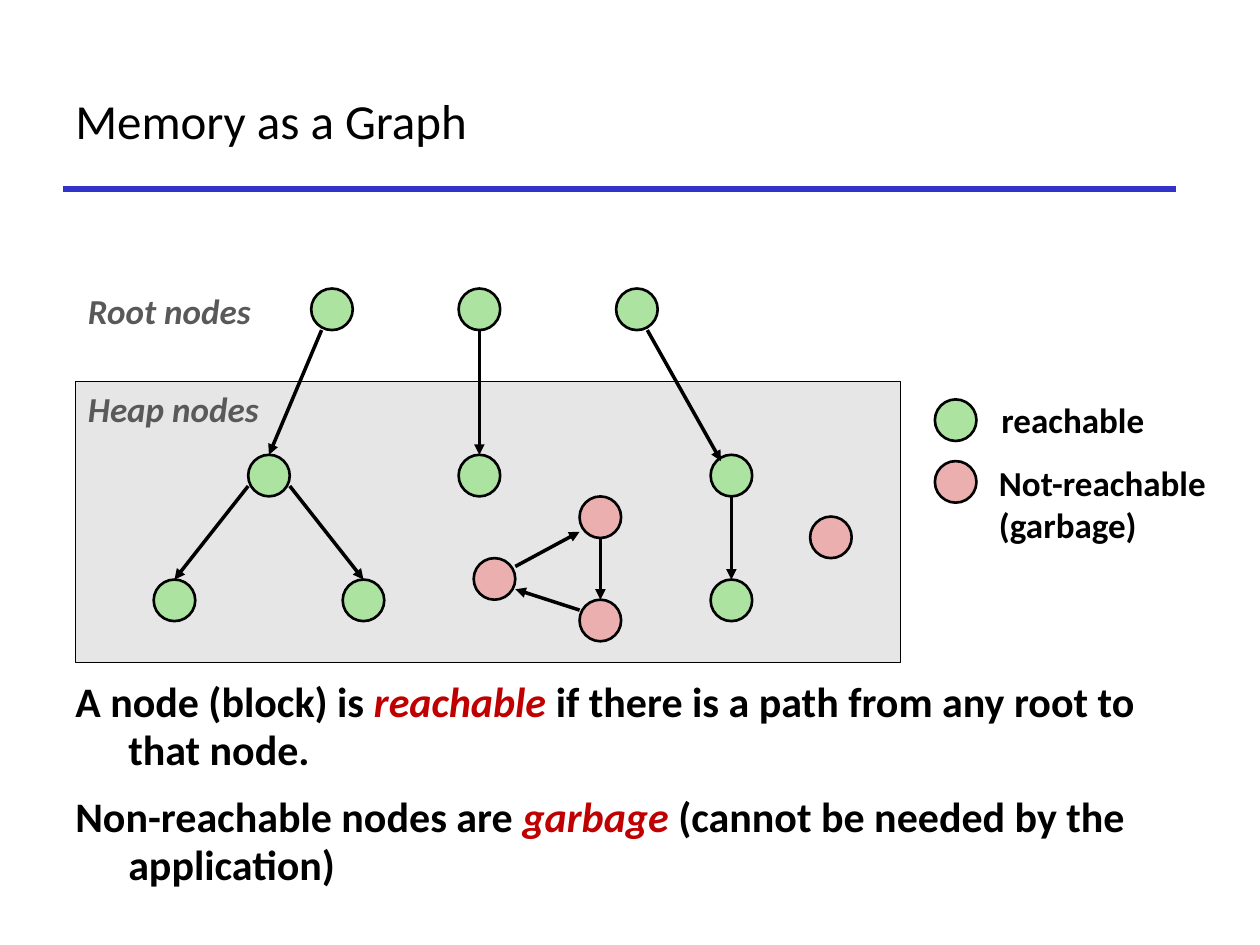
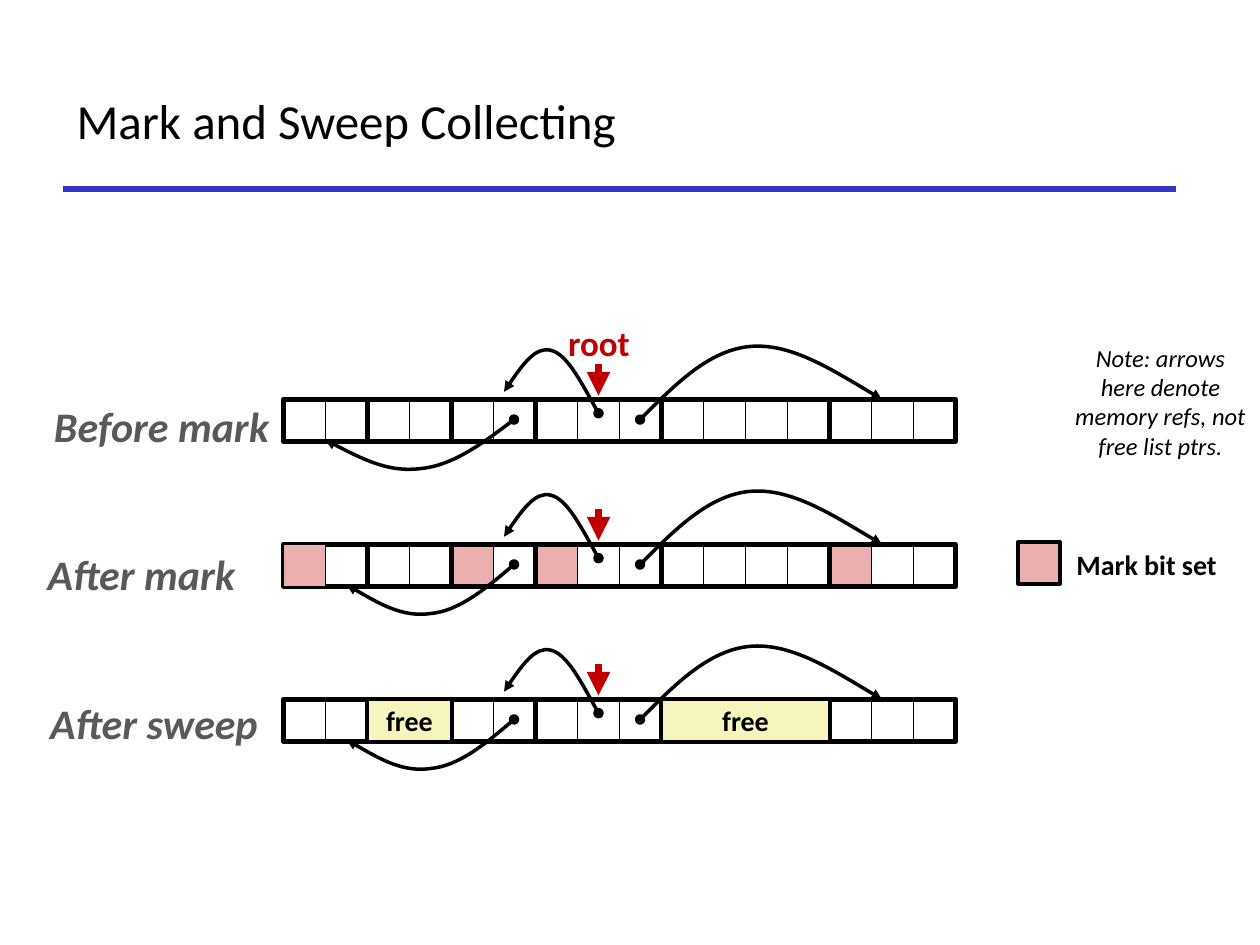
"""Build two slides on garbage collection: memory as a graph, and mark and sweep."""
from lxml import etree
from pptx import Presentation
from pptx.dml.color import RGBColor
from pptx.enum.shapes import MSO_CONNECTOR, MSO_SHAPE
from pptx.enum.text import MSO_ANCHOR, MSO_AUTO_SIZE, PP_ALIGN
from pptx.oxml.ns import qn
from pptx.util import Inches, Pt

FONT = "Calibri"
BLACK = RGBColor(0x00, 0x00, 0x00)
GRAY = RGBColor(0x59, 0x59, 0x59)
RED = RGBColor(0xC0, 0x00, 0x00)
RULE_BLUE = RGBColor(0x33, 0x33, 0xCC)
HEAP_GRAY = RGBColor(0xE6, 0xE6, 0xE6)
GREEN = RGBColor(0xAC, 0xE3, 0xA1)
PINK = RGBColor(0xEB, 0xAF, 0xAF)
YELLOW = RGBColor(0xF6, 0xF5, 0xBD)

NODE = 0.33
HEAP = (0.6, 3.03, 6.55, 2.23)
GREEN_NODES = {
    "root a": (2.47, 2.29), "root b": (3.64, 2.29), "root c": (4.89, 2.29),
    "heap a": (1.97, 3.61), "heap b": (3.64, 3.61), "heap c": (5.64, 3.61),
    "leaf a1": (1.22, 4.6), "leaf a2": (2.72, 4.6), "leaf c": (5.64, 4.6),
    "reachable key": (7.42, 3.17),
}
PINK_NODES = {
    "cycle top": (4.6, 3.94), "cycle bottom": (4.6, 4.76), "cycle left": (3.76, 4.43),
    "loner": (6.43, 4.1), "garbage key": (7.42, 3.66),
}
TOP, BOTTOM = (0.5, 0), (0.5, 1)
EDGES = [
    ("root a", (0.25, 1), "heap a", TOP),
    ("root b", BOTTOM, "heap b", TOP),
    ("root c", (0.75, 1), "heap c", (0.25, 0.15)),
    ("heap a", (0, 0.75), "leaf a1", TOP),
    ("heap a", (1, 0.75), "leaf a2", TOP),
    ("heap c", BOTTOM, "leaf c", TOP),
    ("cycle top", BOTTOM, "cycle bottom", TOP),
    ("cycle bottom", (0, 0.25), "cycle left", (1, 0.75)),
    ("cycle left", (1, 0.2), "cycle top", (0, 0.85)),
]
GRAPH_CAPTIONS = [
    ("Root nodes", (0.6, 2.25, 1.5, 0.44)),
    ("Heap nodes", (0.6, 3.03, 1.56, 0.44)),
]
GRAPH_KEY = [
    ([("reachable",)], (7.85, 3.11, 1.34, 0.43)),
    ([("Not-reachable",), ("\n",), ("(garbage)",)], (7.83, 3.61, 1.86, 0.77)),
]
DEFINITIONS = [
    [("A node (block) is ",), ("reachable", RED, True),
     (" if there is a path from any root to that node.",)],
    [("Non-reachable nodes are ",), ("garbage ", RED, True),
     ("(cannot be needed by the application)",)],
]

CELL = 1 / 3
ROW_LEFT = 2.25
BLOCK_SIZES = [2, 2, 2, 3, 4, 3]
ROWS = [
    {"name": "Before mark", "at": (0.33, 3.13, 1.92, 0.51), "top": 3.17, "left_ref": 2.58},
    {"name": "After mark", "at": (0.28, 4.3, 1.71, 0.51), "top": 4.32, "left_ref": 2.75,
     "marked": [4, 6, 13], "marked_in_front": [0]},
    {"name": "After sweep", "at": (0.3, 5.49, 1.87, 0.51), "top": 5.55, "left_ref": 2.75,
     "free": [1, 4]},
]
ROOT_X = 4.75
ROOT_REF = [(4.75, 0.11), (4.62, -0.12), (4.5, -0.36), (4.37, -0.39),
            (4.25, -0.42), (4.12, -0.24), (4, -0.06)]
RIGHT_REF = [(5.08, 0.16), (5.35, -0.11), (5.63, -0.39), (5.95, -0.42),
             (6.27, -0.45), (6.63, -0.22), (7, 0)]
LEFT_REF_START = 4.08
LEFT_REF_DEPTHS = [0.16, 0.35, 0.53, 0.55, 0.58, 0.45, 0.32]


def inches(values):
    return [Inches(value) for value in values]


def write(frame, paragraphs, size, color=BLACK, bold=True, italic=False, align=None):
    for index, runs in enumerate(paragraphs):
        paragraph = frame.paragraphs[0] if index == 0 else frame.add_paragraph()
        if align is not None:
            paragraph.alignment = align
        for text, *style in runs:
            if text == "\n":
                paragraph.add_line_break()
                continue
            run = paragraph.add_run()
            run.text = text
            run_color, run_italic = style or (color, italic)
            run.font.name, run.font.size = FONT, Pt(size)
            run.font.bold, run.font.italic = bold, run_italic
            run.font.color.rgb = run_color


def add_text(slide, box, paragraphs, size, wrap=False, grow=True, **style):
    frame = slide.shapes.add_textbox(*inches(box)).text_frame
    frame.word_wrap = wrap
    frame.auto_size = MSO_AUTO_SIZE.SHAPE_TO_FIT_TEXT if grow else MSO_AUTO_SIZE.NONE
    write(frame, paragraphs, size, **style)
    return frame


def add_caption(slide, text, box, size):
    add_text(slide, box, [[(text,)]], size, color=GRAY, italic=True)


def add_box(slide, kind, box, fill, width):
    shape = slide.shapes.add_shape(kind, *inches(box))
    shape.shadow.inherit = False
    if fill is None:
        shape.fill.background()
    else:
        shape.fill.solid()
        shape.fill.fore_color.rgb = fill
    shape.line.color.rgb, shape.line.width = BLACK, Pt(width)
    return shape


def add_ends(shape, **ends):
    outline = shape._element.spPr.find(qn("a:ln"))
    for end, kind in ends.items():
        etree.SubElement(outline, qn(f"a:{end}")).set("type", kind)


def add_line(slide, start, end, width, color=BLACK, arrow=False):
    line = slide.shapes.add_connector(MSO_CONNECTOR.STRAIGHT, *inches((*start, *end)))
    line.line.color.rgb, line.line.width = color, Pt(width)
    if arrow:
        add_ends(line, tailEnd="triangle")
    etree.SubElement(line._element.spPr, qn("a:effectLst"))
    return line


def add_curve(slide, points):
    start, *controls = [inches(point) for point in points]
    builder = slide.shapes.build_freeform(*start)
    builder.add_line_segments(controls, close=False)
    curve = builder.convert_to_shape()
    segments = list(curve._element.iter(qn("a:lnTo")))
    for first in range(0, len(segments), 3):
        bezier = etree.Element(qn("a:cubicBezTo"))
        segments[first].addprevious(bezier)
        for segment in segments[first:first + 3]:
            bezier.append(segment[0])
            segment.getparent().remove(segment)
    curve.shadow.inherit = False
    curve.fill.background()
    curve.line.color.rgb, curve.line.width = BLACK, Pt(2)
    add_ends(curve, headEnd="oval", tailEnd="triangle")


def add_titled_slide(deck, title, left, width):
    slide = deck.slides.add_slide(deck.slide_layouts[6])
    add_line(slide, (0.5, 1.5), (9.33, 1.5), 3, RULE_BLUE)
    frame = add_text(slide, (left, 0.67, width, 0.63), [[(title,)]], 28,
                     wrap=True, grow=False, bold=False)
    frame.vertical_anchor = MSO_ANCHOR.MIDDLE
    frame.paragraphs[0].line_spacing = 0.87
    return slide


def build_graph(deck):
    slide = add_titled_slide(deck, "Memory as a Graph", 0.5, 6.93)
    add_box(slide, MSO_SHAPE.RECTANGLE, HEAP, HEAP_GRAY, 0.5)
    places = {**GREEN_NODES, **PINK_NODES}
    nodes = {name: add_box(slide, MSO_SHAPE.OVAL, (*place, NODE, NODE),
                           GREEN if name in GREEN_NODES else PINK, 1.5)
             for name, place in places.items()}
    for source, leave, target, arrive in EDGES:
        start, end = [[corner + NODE * share for corner, share in zip(places[name], side)]
                      for name, side in ((source, leave), (target, arrive))]
        edge = add_line(slide, start, end, 2, arrow=True)
        if arrive == TOP:
            edge.end_connect(nodes[target], 0)
    for text, box in GRAPH_CAPTIONS:
        add_caption(slide, text, box, 20)
    for runs, box in GRAPH_KEY:
        add_text(slide, box, [runs], 20)
    definitions = add_text(slide, (0.5, 5.34, 9.17, 0.91), DEFINITIONS, 24,
                           wrap=True, grow=False)
    for index, paragraph in enumerate(definitions.paragraphs):
        paragraph.line_spacing = 0.95
        if index:
            paragraph.space_before = Pt(11.2)
        properties = paragraph._p.get_or_add_pPr()
        properties.set("marL", str(Inches(0.42)))
        properties.set("indent", str(-Inches(0.42)))


def add_memory_row(slide, row):
    top, marked, free = row["top"], row.get("marked", []), row.get("free", [])
    in_front = row.get("marked_in_front", [])

    def add_cells(first, count, fill, width):
        box = (ROW_LEFT + first * CELL, top, count * CELL, CELL)
        return add_box(slide, MSO_SHAPE.RECTANGLE, box, fill, width)

    for cell in marked:
        add_cells(cell, 1, PINK, 0.75)
    first = 0
    free_blocks = []
    for block, size in enumerate(BLOCK_SIZES):
        frame = add_cells(first, size, None, 3)
        if block in free:
            free_blocks.append((first, size))
        else:
            for offset in range(1, size):
                x = ROW_LEFT + (first + offset) * CELL
                width = 1 if first + offset - 1 in marked + in_front else 0.5
                divider = add_line(slide, (x, top), (x, top + CELL), width)
                if offset * 2 == size:
                    divider.begin_connect(frame, 0)
                    divider.end_connect(frame, 2)
        first += size
    for cell in in_front:
        add_cells(cell, 1, PINK, 0.75)
    for start, size in free_blocks:
        frame = add_cells(start, size, YELLOW, 2).text_frame
        frame.word_wrap = False
        frame.vertical_anchor = MSO_ANCHOR.MIDDLE
        write(frame, [[("free",)]], 16, align=PP_ALIGN.CENTER)

    step = (row["left_ref"] - LEFT_REF_START) / (len(LEFT_REF_DEPTHS) - 1)
    left_ref = [(LEFT_REF_START + i * step, depth) for i, depth in enumerate(LEFT_REF_DEPTHS)]
    for reference in (ROOT_REF, RIGHT_REF, left_ref):
        add_curve(slide, [(x, top + y) for x, y in reference])
    add_line(slide, (ROOT_X, top - 0.28), (ROOT_X, top - 0.03), 4.5, RED, arrow=True)
    add_caption(slide, row["name"], row["at"], 24)


def build_mark_and_sweep(deck):
    slide = add_titled_slide(deck, "Mark and Sweep Collecting", 0.51, 7.82)
    for row in ROWS:
        add_memory_row(slide, row)
    add_text(slide, (4.41, 2.5, 0.69, 0.44), [[("root",)]], 20, color=RED)
    add_box(slide, MSO_SHAPE.RECTANGLE, (8.08, 4.3, CELL, CELL), PINK, 2)
    add_text(slide, (8.44, 4.3, 1.32, 0.37), [[("Mark bit set",)]], 16, align=PP_ALIGN.CENTER)
    note = "Note: arrows here denote memory refs, not free list ptrs."
    add_text(slide, (8.42, 2.67, 1.58, 1.04), [[(note,)]], 14, wrap=True,
             bold=False, italic=True, align=PP_ALIGN.CENTER)


def main():
    deck = Presentation()
    deck.slide_width, deck.slide_height = Inches(10), Inches(7.5)
    build_graph(deck)
    build_mark_and_sweep(deck)
    deck.save("out.pptx")


if __name__ == "__main__":
    main()
